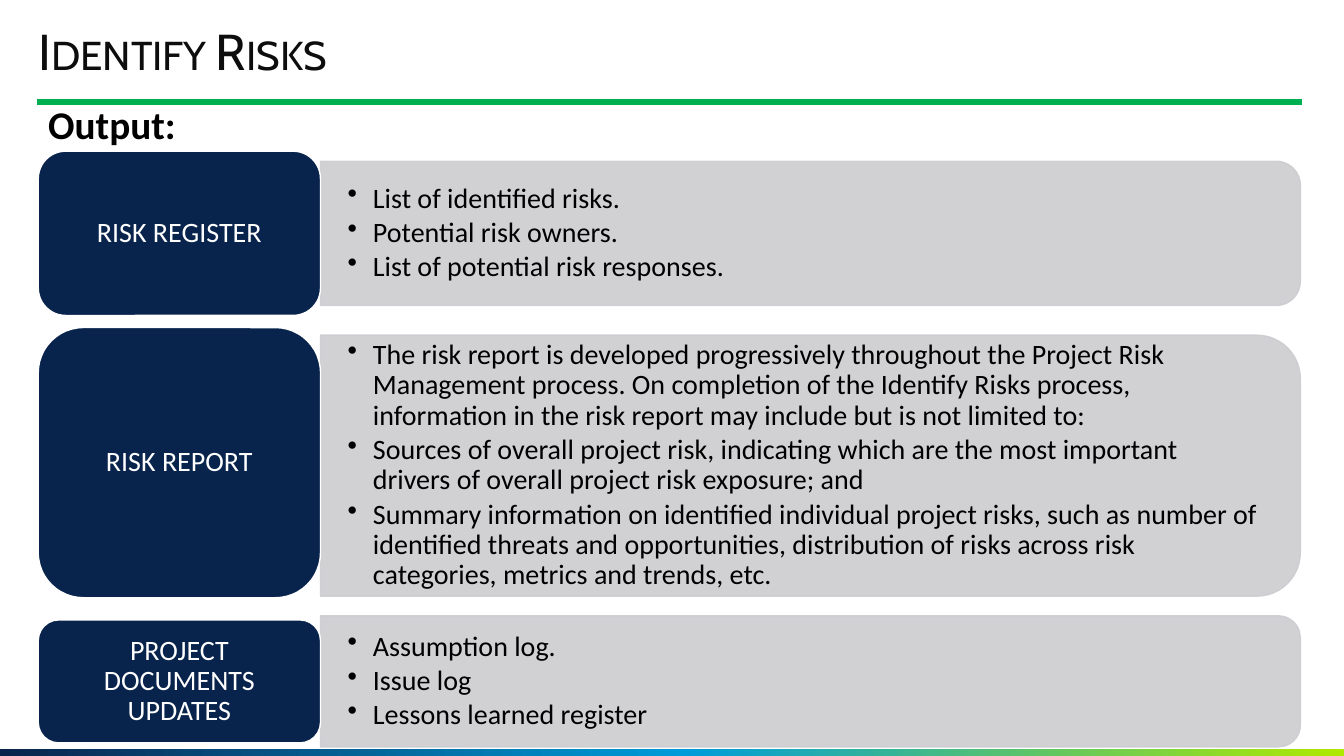
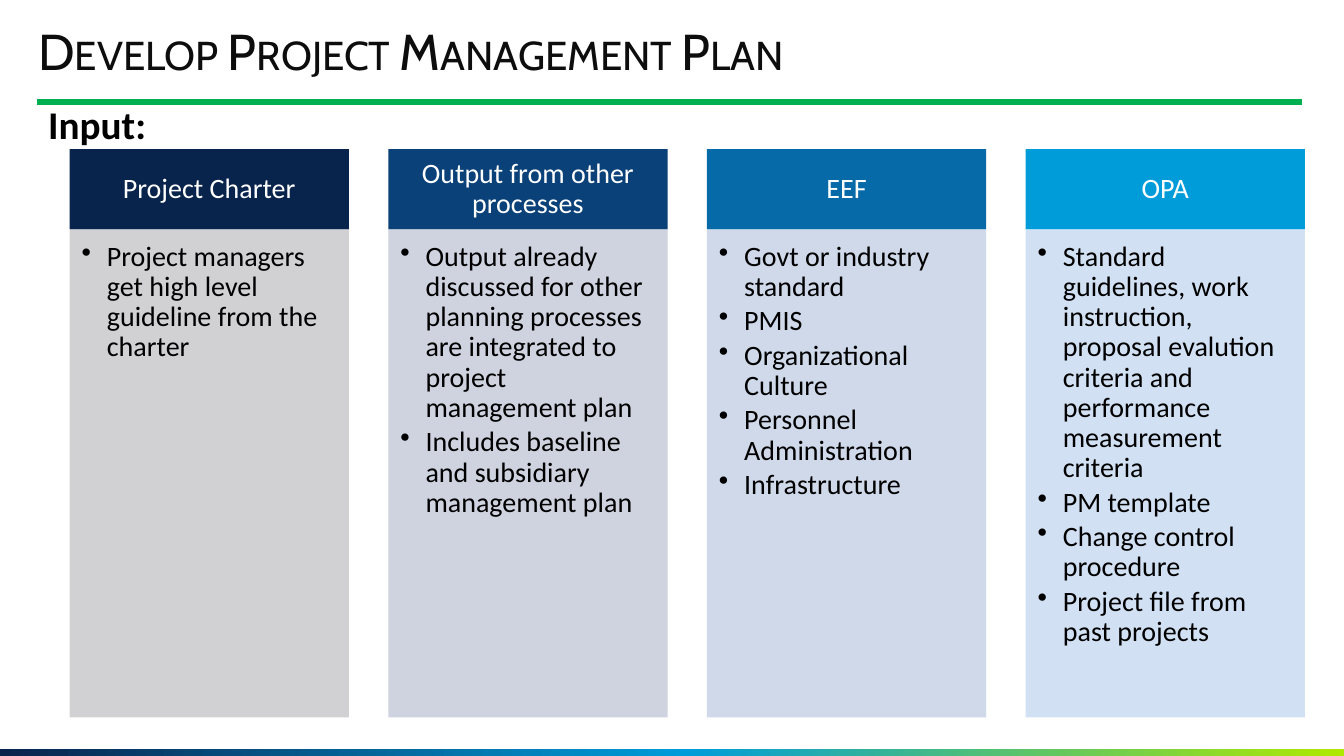
"""Build two project management slides: risk outputs and plan inputs."""
from copy import deepcopy
from dataclasses import dataclass

from lxml import etree
from pptx import Presentation, util as u
from pptx.dml import color
from pptx.enum import shapes, text
from pptx.oxml import ns
from pptx.shapes.autoshape import Shape
from pptx.slide import Slide

WIDTH, HEIGHT = u.Inches(13.33), u.Inches(7.5)
COLOURS = {
    "navy": "09244C", "royal": "094178", "ocean": "0669A8", "sky": "009CDA",
    "lime": "B0E900", "green": "00B050", "grey": "CCCDD0", "mist": "CACFDD",
    "haze": "CAD5E8", "ice": "CCDDF1", "ink": "0D0D0D", "black": "000000",
    "white": "FFFFFF",
}
BAND_STOPS = ((0, "navy"), (0.51, "sky"), (1, "lime"))
MARGIN = 2.85
LABEL_WIDTH = 21
PANEL_WIDTH = 72.9
PANEL_TEXT_WIDTH = 72
COLUMN_LEFT, COLUMN_PITCH, COLUMN_WIDTH = 5.18, 23.71, 20.78
HEADER_TOP, HEADER_HEIGHT = 19.73, 10.6
BODY_TOP, BODY_HEIGHT = 30.4, 64.5


@dataclass(frozen=True)
class Box:
    """A rectangle in percent of the slide's width and height."""

    left: float
    top: float
    width: float
    height: float

    def lengths(self) -> tuple[int, int, int, int]:
        """Return left, top, width and height as slide lengths."""
        return (across(self.left), down(self.top),
                across(self.width), down(self.height))


@dataclass(frozen=True)
class Row:
    """A label with a panel of bullets beside it."""

    label: str
    label_top: float
    label_height: float
    panel_middle: float
    panel_height: float
    bullets: tuple[str, ...]


@dataclass(frozen=True)
class Column:
    """A header with a body of bullets under it."""

    header: str
    header_colour: str
    body_colour: str
    bullets: tuple[str, ...]


ROWS = (
    Row("RISK REGISTER", 20, 21.73, 30.87, 19.07, (
        "List of identified risks.",
        "Potential risk owners.",
        "List of potential risk responses.",
    )),
    Row("RISK REPORT", 43.33, 35.73, 61.6, 34.53, (
        "The risk report is developed progressively throughout the Project Risk "
        "Management process. On completion of the Identify Risks process, "
        "information in the risk report may include but is not limited to:",
        "Sources of overall project risk, indicating which are the most important "
        "drivers of overall project risk exposure; and",
        "Summary information on identified individual project risks, such as "
        "number of identified threats and opportunities, distribution of risks "
        "across risk categories, metrics and trends, etc.",
    )),
    Row("PROJECT DOCUMENTS UPDATES", 82, 16.27, 90.13, 17.33, (
        "Assumption log.",
        "Issue log",
        "Lessons learned register",
    )),
)
COLUMNS = (
    Column("Project Charter", "navy", "grey", (
        "Project managers get high level guideline from the charter",
    )),
    Column("Output from other processes", "royal", "mist", (
        "Output already discussed for other planning processes are integrated "
        "to project management plan",
        "Includes baseline and subsidiary management plan",
    )),
    Column("EEF", "ocean", "haze", (
        "Govt or industry standard",
        "PMIS",
        "Organizational Culture",
        "Personnel Administration",
        "Infrastructure",
    )),
    Column("OPA", "sky", "ice", (
        "Standard guidelines, work instruction, proposal evalution criteria and "
        "performance measurement criteria",
        "PM template",
        "Change control procedure",
        "Project file from past projects",
    )),
)


def across(share: float) -> int:
    """Turn a percentage of the slide width into a length."""
    return round(WIDTH * share / 100)


def down(share: float) -> int:
    """Turn a percentage of the slide height into a length."""
    return round(HEIGHT * share / 100)


def rgb(name: str) -> color.RGBColor:
    """Look up a named colour."""
    return color.RGBColor.from_string(COLOURS[name])


def write(shape: Shape, *paragraphs: str, size: float = 20,
          font: str = "Calibri", colour: str = "black", bold: bool = False,
          small_caps: bool = False, bulleted: bool = False,
          align: text.PP_ALIGN = text.PP_ALIGN.LEFT,
          anchor: text.MSO_ANCHOR = text.MSO_ANCHOR.TOP,
          insets: tuple[float, float, float, float] = (0, 0, 0, 0)) -> None:
    """Fill a shape with formatted paragraphs; insets run left, top, right, bottom."""
    frame = shape.text_frame
    frame.word_wrap = True
    frame.vertical_anchor = anchor
    (frame.margin_left, frame.margin_top,
     frame.margin_right, frame.margin_bottom) = map(u.Inches, insets)
    for index, wording in enumerate(paragraphs):
        paragraph = frame.add_paragraph() if index else frame.paragraphs[0]
        paragraph.alignment = align
        paragraph.line_spacing = 0.9
        if bulleted:
            paragraph.space_after = u.Pt(3)
            properties = paragraph._p.get_or_add_pPr()
            properties.set("marL", str(u.Inches(0.25)))
            properties.set("indent", str(-u.Inches(0.25)))
            etree.SubElement(properties, ns.qn("a:buChar")).set("char", "•")
        run = paragraph.add_run()
        run.text = wording
        run.font.size = u.Pt(size)
        run.font.name = font
        run.font.bold = bold
        run.font.color.rgb = rgb(colour)
        if small_caps:
            run._r.get_or_add_rPr().set("cap", "small")


def add_block(slide: Slide, kind: shapes.MSO_SHAPE, box: Box, fill: str,
              line: str | None = None, opacity: int = 100) -> Shape:
    """Add a filled preset shape, outlined when a line colour is given."""
    shape = slide.shapes.add_shape(kind, *box.lengths())
    shape.shadow.inherit = False
    shape.fill.solid()
    shape.fill.fore_color.rgb = rgb(fill)
    if line:
        shape.line.color.rgb = rgb(line)
        shape.line.width = u.Pt(1)
    else:
        shape.line.fill.background()
    if opacity < 100:
        for element in shape._element.spPr.iter(ns.qn("a:srgbClr")):
            etree.SubElement(element, ns.qn("a:alpha")).set("val", str(opacity * 1000))
    return shape


def add_text_box(slide: Slide, box: Box) -> Shape:
    """Add an empty text box."""
    return slide.shapes.add_textbox(*box.lengths())


def add_band(slide: Slide) -> None:
    """Draw the gradient band along the bottom edge."""
    band = add_block(slide, shapes.MSO_SHAPE.RECTANGLE, Box(0, 99.07, 100, 0.93), "navy")
    band.fill.gradient()
    band.fill.gradient_angle = 0
    stop_list = band._element.spPr.find(".//" + ns.qn("a:gsLst"))
    stop_list.append(deepcopy(stop_list[0]))
    for stop, (position, name) in zip(band.fill.gradient_stops, BAND_STOPS):
        stop.position = position
        stop.color.rgb = rgb(name)


def add_rule(slide: Slide) -> None:
    """Draw the green rule under the title."""
    rule = slide.shapes.add_connector(
        shapes.MSO_CONNECTOR.STRAIGHT,
        across(2.78), down(13.5), across(96.85), down(13.5))
    rule.line.color.rgb = rgb("green")
    rule.line.width = u.Pt(4.5)
    etree.SubElement(rule._element.spPr, ns.qn("a:effectLst"))


def add_page(presentation: Presentation, title: str, subtitle: str) -> Slide:
    """Add a blank slide with the shared band, rule, title and subtitle."""
    slide = presentation.slides.add_slide(presentation.slide_layouts[6])
    add_band(slide)
    add_rule(slide)
    write(add_text_box(slide, Box(MARGIN, 3.6, 83.95, 7.33)), title,
          size=36, font="Cabin", colour="ink", small_caps=True)
    write(add_text_box(slide, Box(MARGIN, 13.33, 94, 7.33)), subtitle,
          size=28, bold=True, insets=(0.1, 0.05, 0.1, 0.05))
    return slide


def add_row(slide: Slide, row: Row) -> None:
    """Draw a panel rounded on its right side, its bullets and its label."""
    left = MARGIN + LABEL_WIDTH
    top = row.panel_middle - row.panel_height / 2
    panel = add_block(slide, shapes.MSO_SHAPE.ROUND_2_SAME_RECTANGLE,
                      Box(left, top, PANEL_WIDTH, row.panel_height),
                      "grey", line="grey", opacity=90)
    long_side, short_side = panel.width, panel.height
    panel.left += (long_side - short_side) // 2
    panel.top -= (long_side - short_side) // 2
    panel.width, panel.height = short_side, long_side
    panel.rotation = 90
    write(add_text_box(slide, Box(left, top, PANEL_TEXT_WIDTH, row.panel_height)),
          *row.bullets, bulleted=True, anchor=text.MSO_ANCHOR.MIDDLE,
          insets=(0.27, 0, 0.27, 0))
    label = add_block(slide, shapes.MSO_SHAPE.ROUNDED_RECTANGLE,
                      Box(MARGIN, row.label_top, LABEL_WIDTH, row.label_height),
                      "navy", line="white")
    write(label, row.label, colour="white", align=text.PP_ALIGN.CENTER,
          anchor=text.MSO_ANCHOR.MIDDLE, insets=(0.08, 0.04, 0.08, 0.04))


def add_column(slide: Slide, index: int, column: Column) -> None:
    """Draw a header and the body under it."""
    left = COLUMN_LEFT + index * COLUMN_PITCH
    header = add_block(slide, shapes.MSO_SHAPE.RECTANGLE,
                       Box(left, HEADER_TOP, COLUMN_WIDTH, HEADER_HEIGHT),
                       column.header_colour)
    write(header, column.header, colour="white", align=text.PP_ALIGN.CENTER,
          anchor=text.MSO_ANCHOR.MIDDLE, insets=(0.16, 0.09, 0.16, 0.09))
    body = add_block(slide, shapes.MSO_SHAPE.RECTANGLE,
                     Box(left, BODY_TOP, COLUMN_WIDTH, BODY_HEIGHT),
                     column.body_colour, opacity=90)
    write(body, *column.bullets, bulleted=True, insets=(0.12, 0.12, 0.16, 0.17))


def main() -> None:
    """Build and save the presentation."""
    presentation = Presentation()
    presentation.slide_width, presentation.slide_height = WIDTH, HEIGHT
    risks = add_page(presentation, "Identify Risks", "Output:")
    for row in ROWS:
        add_row(risks, row)
    plan = add_page(presentation, "Develop Project Management Plan", "Input:")
    for index, column in enumerate(COLUMNS):
        add_column(plan, index, column)
    presentation.save("out.pptx")


if __name__ == "__main__":
    main()
